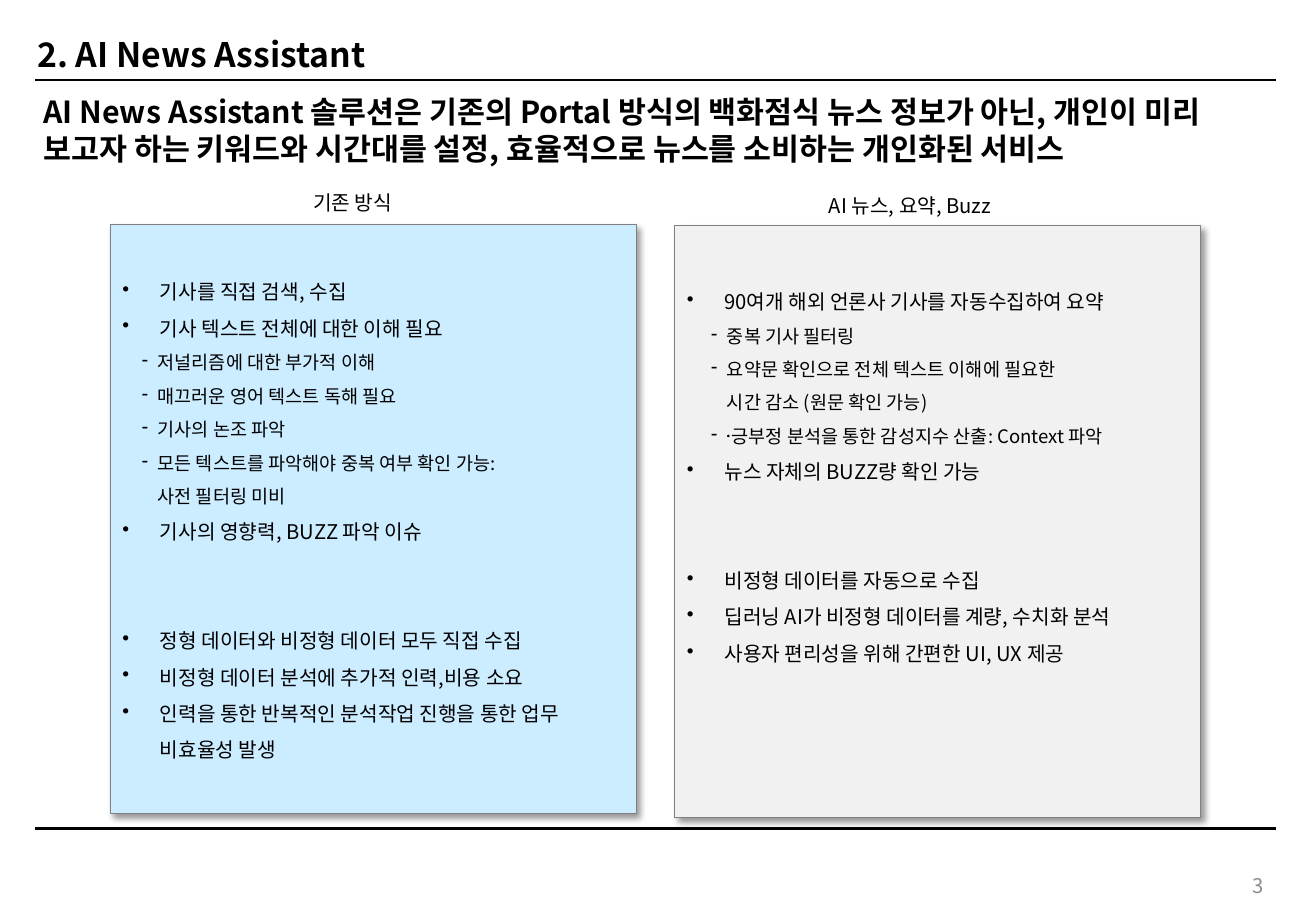
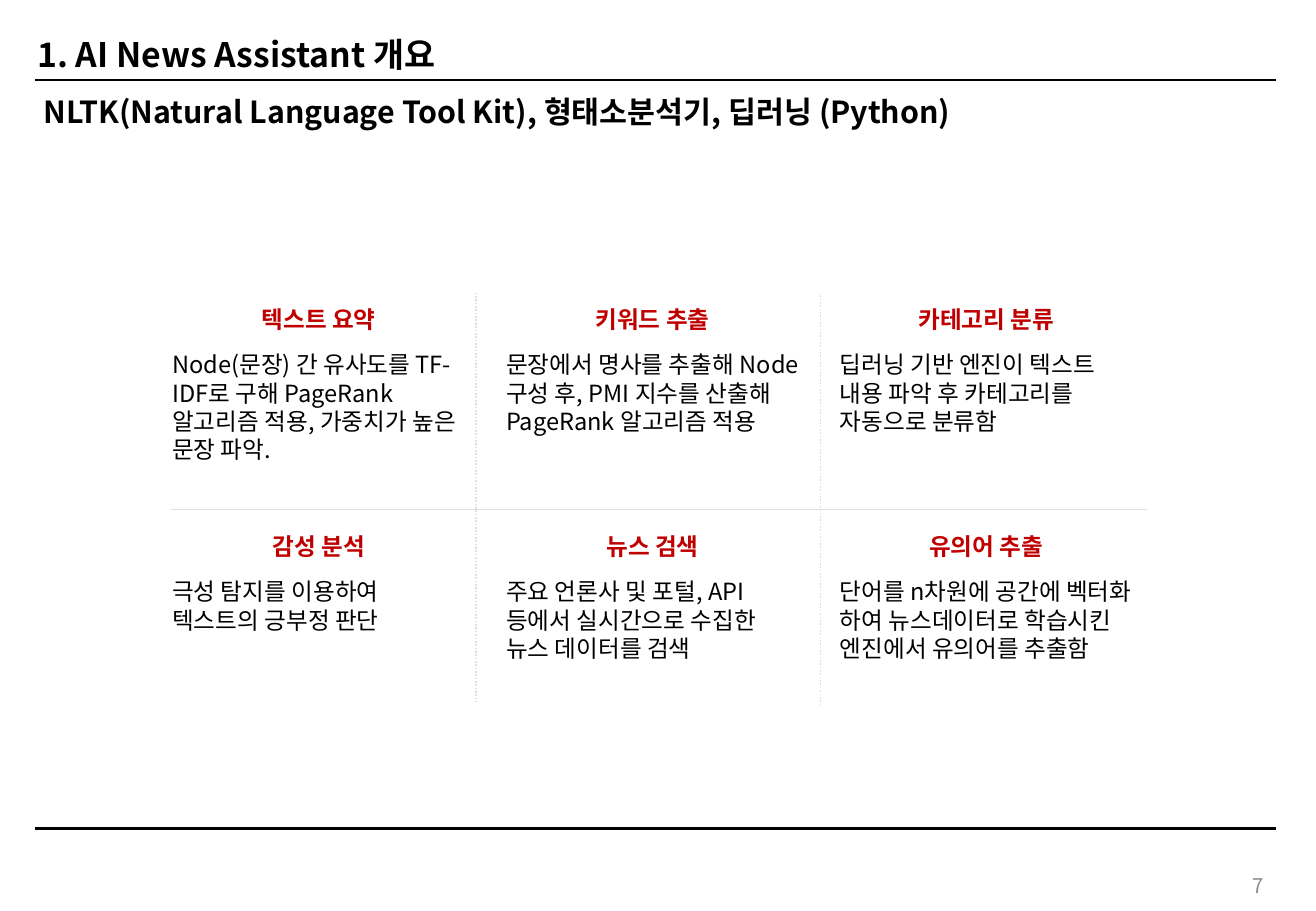
from lxml.etree import SubElement as Sub
from pptx import Presentation
from pptx.dml.color import RGBColor
from pptx.enum.dml import MSO_LINE as Dash
from pptx.enum.shapes import MSO_CONNECTOR as Conn, MSO_SHAPE as Shape
from pptx.enum.text import MSO_ANCHOR as Anchor, PP_ALIGN as Align
from pptx.oxml.ns import qn
from pptx.util import Inches, Pt

FONT = "Noto Sans CJK KR"
BLACK, RED, GREY = "000000", "C00000", "8C8C8C"
EDGE, RULE = "808080", "E3DED9"
BLUE, PALE = "CCECFF", "F1F1F1"


def color(code):
    return RGBColor.from_string(code)


class Deck:
    """Holds the shared style and the slide being drawn."""

    def __init__(self):
        self.prs = Presentation()
        self.prs.slide_width = Inches(10.84)
        self.prs.slide_height = Inches(7.5)

    def page(self, title, lead, number):
        layout = self.prs.slide_layouts[6]
        self.shapes = self.prs.slides.add_slide(layout).shapes
        for y in (0.66, 6.82):
            self.line(0.29, y, 10.51, y, BLACK, 1.5)
        self.label(0.21, 0.23, 9.9, 0.71, title, 20, bold=True)
        self.label(0.26, 0.72, 10.24, 0.71, lead, 18, bold=True)
        frame = self.label(9.92, 7.19, 0.59, 0.2, number, 12, GREY)
        frame.vertical_anchor = Anchor.MIDDLE
        frame.paragraphs[0].alignment = Align.RIGHT

    def line(self, x1, y1, x2, y2, code, width, dash=None):
        line = self.shapes.add_connector(
            Conn.STRAIGHT, Inches(x1), Inches(y1), Inches(x2), Inches(y2))
        line.line.color.rgb = color(code)
        line.line.width = Pt(width)
        if dash:
            line.line.dash_style = dash
        Sub(line._element.spPr, qn("a:effectLst"))

    def box(self, x, y, w, h):
        frame = self.shapes.add_textbox(
            Inches(x), Inches(y), Inches(w), Inches(h)).text_frame
        frame.word_wrap = True
        return frame

    def label(self, x, y, w, h, text, size, code=BLACK, bold=False):
        frame = self.box(x, y, w, h)
        self.para(frame, text, size, code, bold)
        return frame

    def para(self, frame, text, size, code=BLACK, bold=False,
             bullet=None, left=0, hang=0):
        """Adds a paragraph; the first one fills the empty paragraph."""
        par = frame.paragraphs[0]
        if par.text:
            par = frame.add_paragraph()
        par.text = text
        par.alignment = Align.LEFT
        if bullet:
            props = par._p.get_or_add_pPr()
            props.set("marL", str(Inches(left)))
            props.set("indent", str(-Inches(hang)))
            Sub(props, qn("a:buChar"), char=bullet)
        font = par.font
        font.size, font.bold, font.name = Pt(size), bold, FONT
        font.color.rgb = color(code)
        Sub(par._p.pPr.find(qn("a:defRPr")), qn("a:ea"), typeface=FONT)
        return par

    def panel(self, x, y, w, h, fill, top, dent, items):
        """Draws a shadowed box; items are (level, text, points before)."""
        panel = self.shapes.add_shape(
            Shape.RECTANGLE, Inches(x), Inches(y), Inches(w), Inches(h))
        panel.fill.solid()
        panel.fill.fore_color.rgb = color(fill)
        panel.line.color.rgb = color(EDGE)
        panel.line.width = Pt(0.5)
        # Soft shadow to the lower right
        panel.shadow.inherit = False
        effects = panel._element.spPr.find(qn("a:effectLst"))
        shade = Sub(effects, qn("a:outerShdw"), blurRad=str(Pt(4)),
                    dist=str(Pt(3)), dir="2700000", algn="tl", rotWithShape="0")
        tone = Sub(shade, qn("a:srgbClr"), val=BLACK)
        Sub(tone, qn("a:alpha"), val="40000")
        # Bulleted text
        frame = panel.text_frame
        frame.word_wrap = True
        frame.vertical_anchor = Anchor.TOP
        frame.margin_top = Inches(top)
        levels = ((12, "•", 0.31, 0.31), (11, "-", dent, 0.13))
        for level, text, gap in items:
            size, mark, left, hang = levels[level]
            par = self.para(frame, text, size, bullet=mark, left=left, hang=hang)
            par.line_spacing = 1.5
            if gap:
                par.space_before = Pt(gap)

    def card(self, x, y, head, body):
        frame = self.box(x, y, 2.61, 1.85)
        frame.margin_top = frame.margin_bottom = Inches(0.1)
        self.para(frame, head, 14, RED, True).alignment = Align.CENTER
        self.para(frame, body, 14).space_before = Pt(10)


def compare(deck):
    deck.page(
        "2. AI News Assistant",
        "AI News Assistant 솔루션은 기존의 Portal 방식의 백화점식 뉴스 정보가 아닌, "
        "개인이 미리 보고자 하는 키워드와 시간대를 설정, "
        "효율적으로 뉴스를 소비하는 개인화된 서비스", "3")
    # Existing way
    deck.label(2.48, 1.52, 1.89, 0.3, "기존 방식", 12)
    deck.panel(0.91, 1.85, 4.33, 4.85, BLUE, 0.35, 0.29, [
        (0, "기사를 직접 검색, 수집", 0),
        (0, "기사 텍스트 전체에 대한 이해 필요", 0),
        (1, "저널리즘에 대한 부가적 이해", 0),
        (1, "매끄러운 영어 텍스트 독해 필요", 0),
        (1, "기사의 논조 파악", 0),
        (1, "모든 텍스트를 파악해야 중복 여부 확인 가능:\v사전 필터링 미비", 0),
        (0, "기사의 영향력, BUZZ 파악 이슈", 0),
        (0, "정형 데이터와 비정형 데이터 모두 직접 수집", 43),
        (0, "비정형 데이터 분석에 추가적 인력,비용 소요", 0),
        (0, "인력을 통한 반복적인 분석작업 진행을 통한 업무 비효율성 발생", 0),
    ])
    # New way
    deck.label(6.73, 1.54, 2.13, 0.3, "AI 뉴스, 요약, Buzz", 12)
    deck.panel(5.56, 1.86, 4.33, 4.87, PALE, 0.42, 0.33, [
        (0, "90여개 해외 언론사 기사를 자동수집하여 요약", 0),
        (1, "중복 기사 필터링", 0),
        (1, "요약문 확인으로 전체 텍스트 이해에 필요한\v시간 감소 (원문 확인 가능)", 0),
        (1, "긍〮부정 분석을 통한 감성지수 산출: Context 파악", 0),
        (0, "뉴스 자체의 BUZZ량 확인 가능", 0),
        (0, "비정형 데이터를 자동으로 수집", 43),
        (0, "딥러닝 AI가 비정형 데이터를 계량, 수치화 분석", 0),
        (0, "사용자 편리성을 위해 간편한 UI, UX 제공", 0),
    ])


def tools(deck):
    deck.page(
        "1. AI News Assistant 개요",
        "NLTK(Natural Language Tool Kit), 형태소분석기, 딥러닝 (Python)", "7")
    # Grid of three by two cards
    cards = [
        ("텍스트 요약", "Node(문장) 간 유사도를 TF-IDF로 구해 PageRank 알고리즘 적용, "
                   "가중치가 높은 문장 파악."),
        ("키워드 추출", "문장에서 명사를 추출해 Node 구성 후, PMI 지수를 산출해 "
                   "PageRank 알고리즘 적용"),
        ("카테고리 분류", "딥러닝 기반 엔진이 텍스트 내용 파악 후 카테고리를 자동으로 분류함"),
        ("감성 분석", "극성 탐지를 이용하여 텍스트의 긍부정 판단"),
        ("뉴스 검색", "주요 언론사 및 포털, API 등에서 실시간으로 수집한 뉴스 데이터를 검색"),
        ("유의어 추출", "단어를 n차원에 공간에 벡터화 하여 뉴스데이터로 학습시킨 엔진에서 "
                   "유의어를 추출함"),
    ]
    for i, (head, body) in enumerate(cards):
        row, col = divmod(i, 3)
        deck.card(1.32 + 2.75 * col, 2.41 + 1.87 * row, head, body)
    # Dotted dividers
    deck.line(1.41, 4.19, 9.44, 4.19, RULE, 0.25, Dash.ROUND_DOT)
    for x, y in ((3.92, 2.41), (6.76, 2.43)):
        deck.line(x, y, x, y + 3.37, RULE, 1, Dash.ROUND_DOT)


def main():
    deck = Deck()
    compare(deck)
    tools(deck)
    deck.prs.save("out.pptx")


if __name__ == "__main__":
    main()
